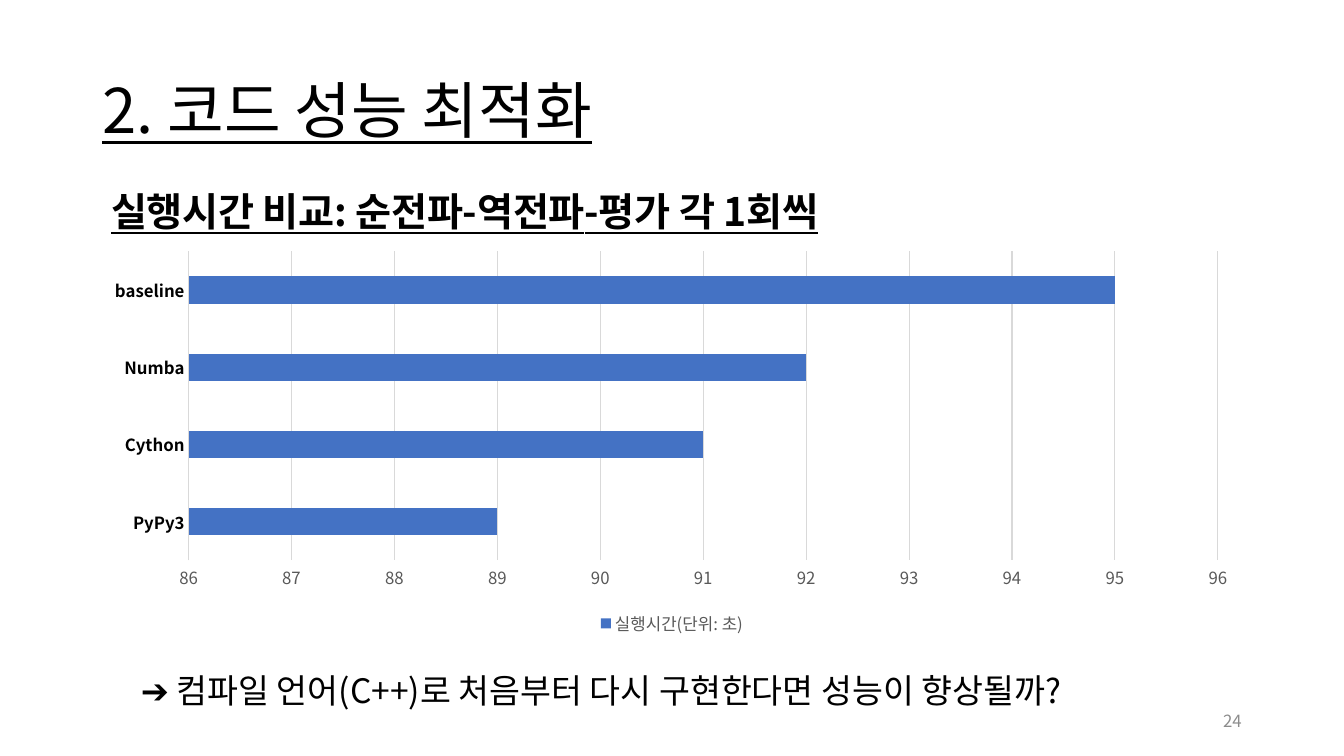
from dataclasses import dataclass

from lxml import etree
from pptx import Presentation
from pptx import util as u
from pptx.chart import data
from pptx.dml import color
from pptx.enum import chart as ch
from pptx.enum import text as t
from pptx.oxml import ns


@dataclass(frozen=True)
class Theme:
    face: str = "Noto Sans CJK KR"
    ink: str = "000000"
    muted: str = "595959"
    pale: str = "8C8C8C"
    rule: str = "D9D9D9"
    bar: str = "4472C4"
    heading: int = 44
    subheading: int = 28
    body: int = 24
    small: int = 12


THEME = Theme()


def style(font, size, ink=THEME.ink, bold=False, underline=False):
    font.name = THEME.face
    font.size = u.Pt(size)
    font.bold = bold
    font.underline = underline
    font.color.rgb = color.RGBColor.from_string(ink)
    east_asian = etree.SubElement(font._rPr, ns.qn("a:ea"))
    east_asian.set("typeface", THEME.face)


def write(frame, wording, align=None, spacing=None, **look):
    paragraph = frame.paragraphs[0]
    if align is not None:
        paragraph.alignment = align
    if spacing is not None:
        paragraph.line_spacing = spacing
    run = paragraph.add_run()
    run.text = wording
    style(run.font, **look)


def place_in_chart(part, index, inner=False, **fractions):
    for automatic in part.findall(ns.qn("c:layout")):
        part.remove(automatic)
    layout = etree.Element(ns.qn("c:layout"))
    manual = etree.SubElement(layout, ns.qn("c:manualLayout"))
    settings = {"layoutTarget": "inner"} if inner else {}
    settings.update(xMode="edge", yMode="edge", **fractions)
    for tag, value in settings.items():
        etree.SubElement(manual, ns.qn(f"c:{tag}")).set("val", str(value))
    part.insert(index, layout)


class SlideBuilder:
    def __init__(self, deck, theme):
        self.theme = theme
        self.slide = deck.slides.add_slide(deck.slide_layouts[5])

    def title(self, wording, left, top, width, height):
        heading = self.slide.shapes.title
        heading.left, heading.top = u.Pt(left), u.Pt(top)
        heading.width, heading.height = u.Pt(width), u.Pt(height)
        frame = heading.text_frame
        frame.vertical_anchor = t.MSO_ANCHOR.MIDDLE
        write(frame, wording, align=t.PP_ALIGN.LEFT, spacing=0.9,
              size=self.theme.heading, underline=True)

    def text(self, wording, left, top, width, height,
             anchor=t.MSO_ANCHOR.TOP, **look):
        box = self.slide.shapes.add_textbox(
            u.Pt(left), u.Pt(top), u.Pt(width), u.Pt(height))
        box.text_frame.word_wrap = True
        box.text_frame.vertical_anchor = anchor
        write(box.text_frame, wording, **look)

    def bar_chart(self, heading, series_name, timings, left, top, width, height):
        theme = self.theme
        figures = data.CategoryChartData(number_format="General")
        figures.categories = list(timings)
        figures.add_series(series_name, list(timings.values()))
        chart = self.slide.shapes.add_chart(
            ch.XL_CHART_TYPE.BAR_CLUSTERED, u.Pt(left), u.Pt(top),
            u.Pt(width), u.Pt(height), figures).chart
        style(chart.font, 10)

        write(chart.chart_title.text_frame, heading,
              size=theme.subheading, bold=True, underline=True)
        chart.chart_title.include_in_layout = False
        place_in_chart(chart.chart_title._element, 1, x=0.01, y=0.02)
        plot_area = chart._chartSpace.chart.plotArea
        place_in_chart(plot_area, 0, inner=True, x=0.083, y=0.19, w=0.888, h=0.644)

        plot = chart.plots[0]
        plot.gap_width = 182
        plot.vary_by_categories = False
        bars = plot.series[0].format.fill
        bars.solid()
        bars.fore_color.rgb = color.RGBColor.from_string(theme.bar)

        names, seconds = chart.category_axis, chart.value_axis
        for axis in (names, seconds):
            axis.major_tick_mark = axis.minor_tick_mark = ch.XL_TICK_MARK.NONE
        style(names.tick_labels.font, theme.small, bold=True)
        style(seconds.tick_labels.font, theme.small, theme.muted)
        seconds.minimum_scale, seconds.maximum_scale = 86, 96
        seconds.major_unit = 1
        seconds.has_major_gridlines = True
        seconds.format.line.fill.background()
        for line in (names.format.line, seconds.major_gridlines.format.line):
            line.color.rgb = color.RGBColor.from_string(theme.rule)
            line.width = u.Pt(0.75)

        chart.has_legend = True
        chart.legend.position = ch.XL_LEGEND_POSITION.BOTTOM
        chart.legend.include_in_layout = False
        style(chart.legend.font, theme.small, theme.muted)


def main():
    deck = Presentation()
    deck.slide_width, deck.slide_height = u.Pt(960), u.Pt(540)
    page = SlideBuilder(deck, THEME)
    page.title("2. 코드 성능 최적화", 66, 28.8, 828, 104.4)
    page.bar_chart(
        "실행시간 비교: 순전파-역전파-평가 각 1회씩", "실행시간(단위: 초)",
        {"PyPy3": 89, "Cython": 91, "Numba": 92, "baseline": 95},
        66, 114.5, 828, 342.7)
    page.text("24", 678, 500.4, 216, 28.8, anchor=t.MSO_ANCHOR.MIDDLE,
              align=t.PP_ALIGN.RIGHT, size=THEME.small, ink=THEME.pale)
    page.text("➔ 컴파일 언어(C++)로 처음부터 다시 구현한다면 성능이 향상될까?",
              93.6, 475.2, 773.3, 36, size=THEME.body)
    deck.save("out.pptx")


if __name__ == "__main__":
    main()
